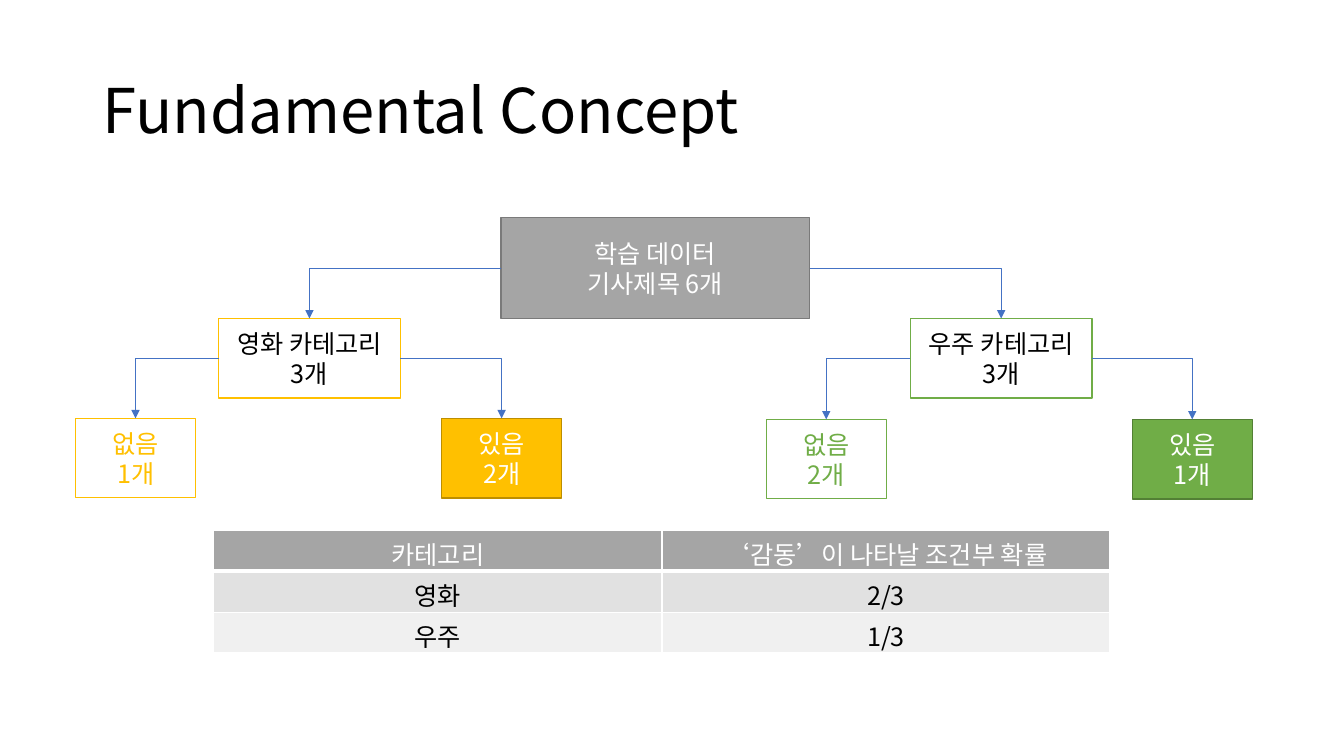
from dataclasses import dataclass

from lxml.etree import SubElement
from pptx import Presentation
from pptx.dml.color import RGBColor
from pptx.enum.shapes import MSO_CONNECTOR, MSO_SHAPE
from pptx.enum.text import MSO_ANCHOR, PP_ALIGN
from pptx.oxml.ns import qn
from pptx.util import Inches, Pt


@dataclass(frozen=True)
class Theme:
    font: str = "Noto Sans CJK KR"
    title_size: int = 44
    body_size: int = 18
    black: str = "000000"
    white: str = "FFFFFF"
    gray: str = "A5A5A5"
    gray_edge: str = "7A7A7A"
    gold: str = "FFC000"
    gold_edge: str = "BD8E00"
    green: str = "70AD47"
    green_edge: str = "538035"
    arrow: str = "4472C4"
    bands: tuple = ("E1E1E1", "F0F0F0")


T = Theme()

TITLE = "Fundamental Concept"
ROOT = ["학습 데이터", "기사제목 6개"]
# text, left, colour, edge of the filled leaf, leaf top, leaves (text, left)
BRANCHES = [
    (["영화 카테고리", "3개"], 2.17, T.gold, T.gold_edge, 4.15,
     [(["없음", "1개"], 0.75), (["있음", "2개"], 4.38)]),
    (["우주 카테고리", "3개"], 9.03, T.green, T.green_edge, 4.16,
     [(["없음", "2개"], 7.6), (["있음", "1개"], 11.23)]),
]
TABLE = [
    ["카테고리", "‘감동’이 나타날 조건부 확률"],
    ["영화", "2/3"],
    ["우주", "1/3"],
]
ROOT_BOX = (4.97, 2.16, 3.06, 1)
BRANCH_TOP, BRANCH_W, BOX_H, LEAF_W = 3.16, 1.8, 0.79, 1.19
TABLE_BOX = (2.12, 5.26, 8.89, 1.22)
TOP, LEFT, RIGHT = 0, 1, 3  # connection sites of a rectangle


def rgb(value):
    return RGBColor.from_string(value)


def write(tf, lines, color, size=T.body_size, align=PP_ALIGN.CENTER):
    tf.text = "\n".join(lines)
    for p in tf.paragraphs:
        p.alignment = align
        p.font.size = Pt(size)
        p.font.bold = False
        p.font.color.rgb = rgb(color)
        p.font.name = T.font
        SubElement(p._p.pPr.find(qn("a:defRPr")), qn("a:ea"), typeface=T.font)


def add_box(s, box, lines, color, edge, fill=None, width=1):
    sp = s.shapes.add_shape(MSO_SHAPE.RECTANGLE, *map(Inches, box))
    sp.shadow.inherit = False
    if fill:
        sp.fill.solid()
        sp.fill.fore_color.rgb = rgb(fill)
    else:
        sp.fill.background()
    sp.line.color.rgb = rgb(edge)
    sp.line.width = Pt(width)
    tf = sp.text_frame
    tf.word_wrap = True
    tf.vertical_anchor = MSO_ANCHOR.MIDDLE
    write(tf, lines, color)
    return sp


def add_arrow(s, parent, side, child):
    """Run sideways from the parent's side, then down to the child's top."""
    c = s.shapes.add_connector(MSO_CONNECTOR.ELBOW, 0, 0, 0, 0)
    c.begin_connect(parent, side)
    c.end_connect(child, TOP)
    c.line.color.rgb = rgb(T.arrow)
    c.line.width = Pt(0.5)
    spPr = c._element.spPr
    spPr.find(qn("a:prstGeom")).set("prst", "bentConnector2")
    SubElement(spPr.find(qn("a:ln")), qn("a:tailEnd"), type="triangle")
    SubElement(spPr, qn("a:effectLst"))


def set_borders(cell, bottom):
    tcPr = cell._tc.get_or_add_tcPr()
    for i, (side, width) in enumerate([("L", 1), ("R", 1), ("T", 1), ("B", bottom)]):
        ln = tcPr.makeelement(qn(f"a:ln{side}"), {"w": str(Pt(width))})
        SubElement(SubElement(ln, qn("a:solidFill")), qn("a:srgbClr"), val=T.white)
        tcPr.insert(i, ln)


def add_title(s):
    tf = s.shapes.add_textbox(*map(Inches, (0.92, 0.4, 11.5, 1.45))).text_frame
    tf.word_wrap = True
    tf.vertical_anchor = MSO_ANCHOR.MIDDLE
    write(tf, [TITLE], T.black, T.title_size, PP_ALIGN.LEFT)
    tf.paragraphs[0].line_spacing = 0.9


def add_tree(s):
    root = add_box(s, ROOT_BOX, ROOT, T.white, T.gray_edge, T.gray)
    for side, (lines, left, color, edge, leaf_top, leaves) in zip((LEFT, RIGHT), BRANCHES):
        branch = add_box(s, (left, BRANCH_TOP, BRANCH_W, BOX_H), lines,
                         T.black, color, T.white)
        add_arrow(s, root, side, branch)
        (no_lines, no_left), (yes_lines, yes_left) = leaves
        no = add_box(s, (no_left, leaf_top, LEAF_W, BOX_H), no_lines,
                     color, color, width=0.75)
        yes = add_box(s, (yes_left, leaf_top, LEAF_W, BOX_H), yes_lines,
                      T.white, edge, color)
        add_arrow(s, branch, LEFT, no)
        add_arrow(s, branch, RIGHT, yes)


def add_probabilities(s):
    table = s.shapes.add_table(len(TABLE), len(TABLE[0]), *map(Inches, TABLE_BOX)).table
    fills = (T.gray, *T.bands)
    for r, row in enumerate(TABLE):
        for c, text in enumerate(row):
            cell = table.cell(r, c)
            write(cell.text_frame, [text], T.black if r else T.white)
            cell.fill.solid()
            cell.fill.fore_color.rgb = rgb(fills[r])
            set_borders(cell, bottom=1 if r else 3)


def main():
    prs = Presentation()
    prs.slide_width, prs.slide_height = Inches(13.33), Inches(7.5)
    s = prs.slides.add_slide(prs.slide_layouts[6])
    add_title(s)
    add_tree(s)
    add_probabilities(s)
    prs.save("out.pptx")


if __name__ == "__main__":
    main()
